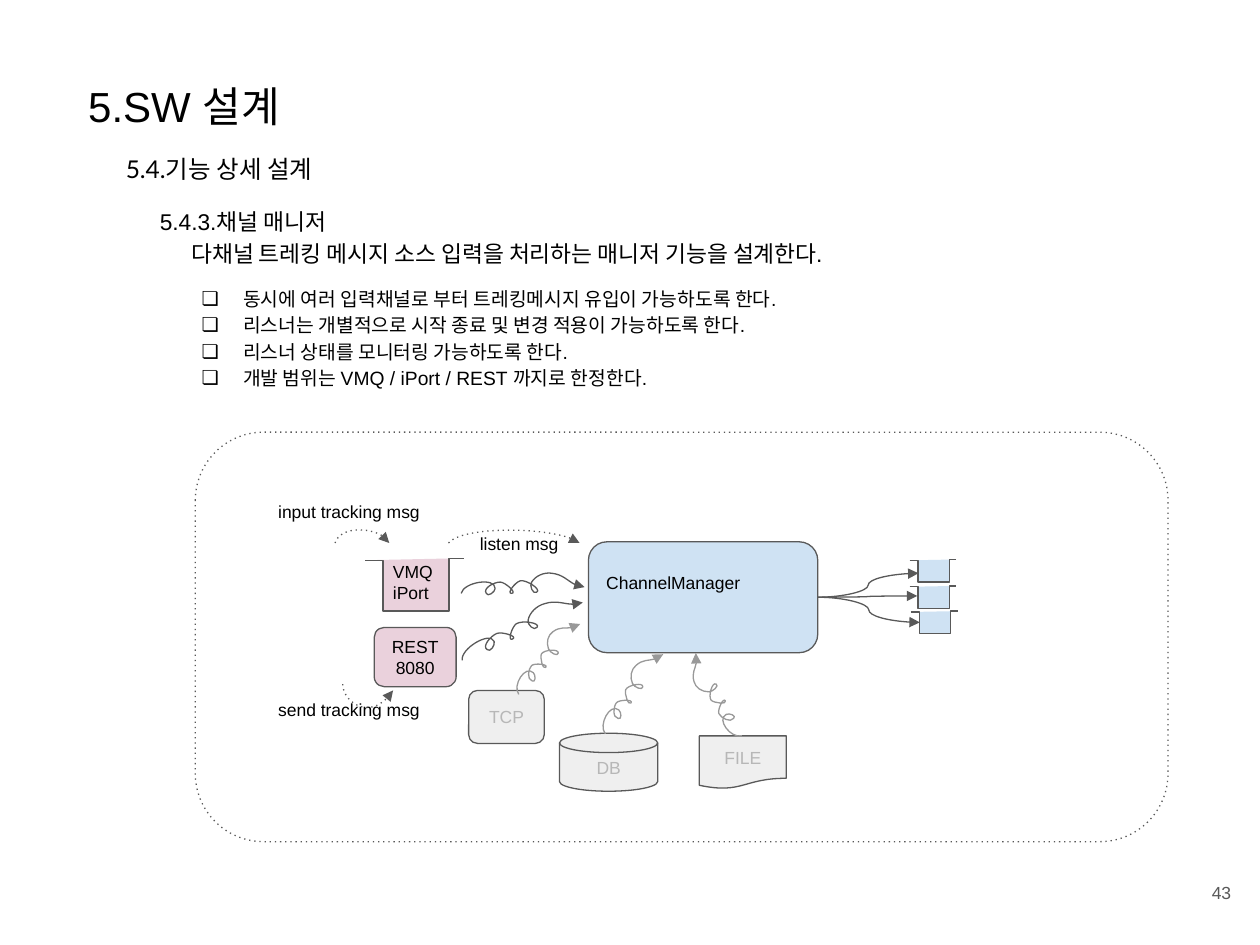
from lxml import etree
from pptx import Presentation
from pptx.dml.color import RGBColor
from pptx.enum.shapes import MSO_CONNECTOR, MSO_SHAPE
from pptx.enum.text import MSO_ANCHOR, MSO_AUTO_SIZE, PP_ALIGN
from pptx.oxml.ns import qn
from pptx.util import Inches, Pt

BLACK = RGBColor(0x00, 0x00, 0x00)
DARK = RGBColor(0x59, 0x59, 0x59)
GRAY = RGBColor(0x99, 0x99, 0x99)
FADED = RGBColor(0xB7, 0xB7, 0xB7)
PALE = RGBColor(0xEF, 0xEF, 0xEF)
PINK = RGBColor(0xEA, 0xD1, 0xDC)
BLUE = RGBColor(0xCF, 0xE2, 0xF3)
LEFT, CENTER, RIGHT = PP_ALIGN.LEFT, PP_ALIGN.CENTER, PP_ALIGN.RIGHT
TOP, MIDDLE = MSO_ANCHOR.TOP, MSO_ANCHOR.MIDDLE
ROUNDED = MSO_SHAPE.FLOWCHART_ALTERNATE_PROCESS


def set_line(sp, color=DARK, dotted=False, arrow=False):
    sp.line.color.rgb = color
    sp.line.width = Pt(0.75)
    ln = sp.line._get_or_add_ln()
    if dotted:
        etree.SubElement(ln, qn("a:prstDash"), val="dot")
    if arrow:
        etree.SubElement(ln, qn("a:tailEnd"), type="triangle")


def write(sp, lines, size, color=BLACK, align=LEFT, anchor=TOP, spacing=None,
          font="Arial", indents=(0,)):
    tf = sp.text_frame
    tf.word_wrap = True
    tf.auto_size = MSO_AUTO_SIZE.NONE
    tf.vertical_anchor = anchor
    tf.margin_left = tf.margin_right = Inches(0.1)
    tf.margin_top = tf.margin_bottom = Inches(0.1)
    tf.text = "\n".join(lines)
    for i, p in enumerate(tf.paragraphs):
        indent = indents[min(i, len(indents) - 1)]
        if indent:
            p._p.get_or_add_pPr().set("marL", str(Inches(indent)))
        p.alignment = align
        p.space_before = Pt(0)
        if spacing:
            p.line_spacing = spacing
        p.font.name = font
        p.font.size = Pt(size)
        p.font.color.rgb = color


prs = Presentation()
prs.slide_width, prs.slide_height = Inches(10), Inches(7.5)
s = prs.slides.add_slide(prs.slide_layouts[1])
shapes = s.shapes

# Frame around the diagram
frame = shapes.add_shape(MSO_SHAPE.ROUNDED_RECTANGLE, Inches(1.55), Inches(3.43),
                         Inches(7.72), Inches(3.25))
frame.shadow.inherit = False
frame.fill.background()
set_line(frame, dotted=True)

# Title and bullet list
title, body = s.placeholders
for sp, box in ((title, (0.6, 0.54, 8.52, 0.54)), (body, (1.33, 2.15, 8.28, 1.16))):
    sp.left, sp.top, sp.width, sp.height = [Inches(v) for v in box]
write(title, ["5.SW 설계"], 24)
bullets = [
    "동시에 여러 입력채널로 부터 트레킹메시지 유입이 가능하도록 한다.",
    "리스너는 개별적으로 시작 종료 및 변경 적용이 가능하도록 한다.",
    "리스너 상태를 모니터링 가능하도록 한다.",
    "개발 범위는 VMQ / iPort / REST 까지로 한정한다.",
]
body.text_frame.text = "\n".join(bullets)
write(body, bullets, 11, spacing=1.15, indents=(0.5,))
for p in body.text_frame.paragraphs:
    pPr = p._p.get_or_add_pPr()
    pPr.set("indent", str(Inches(-0.33)))
    bullet = etree.Element(qn("a:buChar"), char="❏")
    bullet_color = etree.Element(qn("a:buClr"))
    etree.SubElement(bullet_color, qn("a:srgbClr"), val=str(BLACK))
    spacing_end = pPr.find(qn("a:spcBef"))
    spacing_end.addnext(bullet)
    spacing_end.addnext(bullet_color)

# Open trays: queues of messages
for left, top, width, height, fill in (
        (2.9, 4.43, 0.78, 0.42, PINK), (7.22, 4.44, 0.37, 0.18, BLUE),
        (7.22, 4.65, 0.37, 0.18, BLUE), (7.23, 4.85, 0.37, 0.18, BLUE)):
    outline = [(0, 0.04), (0.18, 0.04), (0.18, 1), (0.85, 1), (0.85, 0), (1, 0)]
    points = [(Inches(left + x * width), Inches(top + y * height)) for x, y in outline]
    builder = shapes.build_freeform(*points[0])
    builder.add_line_segments(points[1:], close=False)
    sp = builder.convert_to_shape()
    sp.shadow.inherit = False
    sp.fill.solid()
    sp.fill.fore_color.rgb = fill
    set_line(sp)

# Headings, labels and page number
for box, lines, size, options in (
        ((0.9, 1.09, 5.6, 0.47), ["5.4.기능 상세 설계"], 14,
         dict(font="Lato", spacing=1.15)),
        ((1.17, 1.52, 6.04, 0.69),
         ["5.4.3.채널 매니저", "다채널 트레킹 메시지 소스 입력을 처리하는 매니저 기능을 설계한다."],
         13, dict(spacing=1.15, indents=(0, 0.25))),
        ((2.9, 4.35, 0.78, 0.42), ["VMQ", "iPort"], 10, dict(indents=(0.12,))),
        ((2.11, 3.88, 1.37, 0.42), ["input tracking msg"], 10, {}),
        ((3.71, 4.13, 1.37, 0.42), ["listen msg"], 10, {}),
        ((2.11, 5.45, 1.37, 0.42), ["send tracking msg"], 10, {}),
        ((9.27, 6.8, 0.6, 0.57), ["43"], 10,
         dict(color=DARK, align=RIGHT, anchor=MIDDLE))):
    sp = shapes.add_textbox(*[Inches(v) for v in box])
    write(sp, lines, size, **options)

# Channel manager and its sources
for kind, box, fill, lines, options in (
        (MSO_SHAPE.FLOWCHART_MAGNETIC_DISK, (4.44, 5.82, 0.78, 0.46), PALE, ["DB"],
         dict(color=FADED, align=CENTER, anchor=MIDDLE)),
        (MSO_SHAPE.FLOWCHART_DOCUMENT, (5.55, 5.84, 0.69, 0.42), PALE, ["FILE"],
         dict(color=FADED, align=CENTER, anchor=MIDDLE)),
        (ROUNDED, (3.72, 5.48, 0.6, 0.42), PALE, ["TCP"],
         dict(color=FADED, align=CENTER, anchor=MIDDLE)),
        (ROUNDED, (2.97, 4.98, 0.65, 0.47), PINK, ["REST", "8080"],
         dict(align=CENTER, anchor=MIDDLE)),
        (ROUNDED, (4.67, 4.3, 1.82, 0.88), BLUE, ["ChannelManager"], {})):
    sp = shapes.add_shape(kind, *[Inches(v) for v in box])
    sp.shadow.inherit = False
    sp.fill.solid()
    sp.fill.fore_color.rgb = fill
    set_line(sp)
    write(sp, lines, 10, **options)
manager = sp
manager.text_frame.margin_top = Inches(0.2)

# Curved connectors from the manager to the trays
for x, y in ((7.29, 4.55), (7.28, 4.73), (7.3, 4.94)):
    link = shapes.add_connector(MSO_CONNECTOR.CURVE, Inches(6.49), Inches(4.74),
                                Inches(x), Inches(y))
    link.begin_connect(manager, 3)
    set_line(link, arrow=True)
    etree.SubElement(link._element.spPr, qn("a:effectLst"))

# Bezier arrows: dotted arcs, then one squiggle stretched and turned
SQUIGGLE = [
    (0, 0.17), (0.02, 0.08), (0.27, 0.04), (0.27, 0.13), (0.27, 0.16), (0.21, 0.2),
    (0.2, 0.17), (0.17, 0.13), (0.26, 0.08), (0.31, 0.08), (0.35, 0.08), (0.45, 0.17),
    (0.4, 0.17), (0.36, 0.17), (0.43, 0.08), (0.47, 0.07), (0.52, 0.06), (0.64, 0.14),
    (0.6, 0.16), (0.57, 0.18), (0.54, 0.11), (0.56, 0.08), (0.59, 0.03), (0.66, 0),
    (0.72, 0.01), (0.81, 0.02), (0.89, 0.12), (0.98, 0.12)]
curves = [
    ([(2.66, 4.31), (2.7, 4.18), (3.03, 4.18), (3.09, 4.31)], 0, DARK, True),
    ([(3.56, 4.31), (3.67, 4.18), (4.44, 4.18), (4.6, 4.31)], 0, DARK, True),
    ([(2.72, 5.43), (2.72, 5.51), (2.79, 5.59), (2.87, 5.61),
      (2.96, 5.63), (3.08, 5.56), (3.12, 5.48)], 0, DARK, True)]
for left, top, width, angle, color in (
        (3.66, 4.54, 0.98, 0, DARK), (3.6, 4.87, 1.06, 337.1, DARK),
        (3.96, 5.1, 0.74, 315, GRAY), (4.61, 5.38, 0.78, 309.7, GRAY),
        (5.29, 5.43, 0.75, 244.7, GRAY)):
    points = [(left + x * width / 0.98, top + y) for x, y in SQUIGGLE]
    curves.append((points, angle, color, False))

for points, angle, color, dotted in curves:
    points = [(Inches(x), Inches(y)) for x, y in points]
    builder = shapes.build_freeform(*points[0])
    builder.add_line_segments(points[1:], close=False)
    sp = builder.convert_to_shape()
    # Every three points after the start form one Bezier segment
    geometry = sp._element.find(".//" + qn("a:path"))
    segments = geometry.findall(qn("a:lnTo"))
    for i in range(0, len(segments), 3):
        bezier = etree.SubElement(geometry, qn("a:cubicBezTo"))
        for segment in segments[i:i + 3]:
            bezier.append(segment[0])
            geometry.remove(segment)
    sp.rotation = angle
    sp.shadow.inherit = False
    sp.fill.background()
    set_line(sp, color, dotted, arrow=True)

prs.save("out.pptx")
